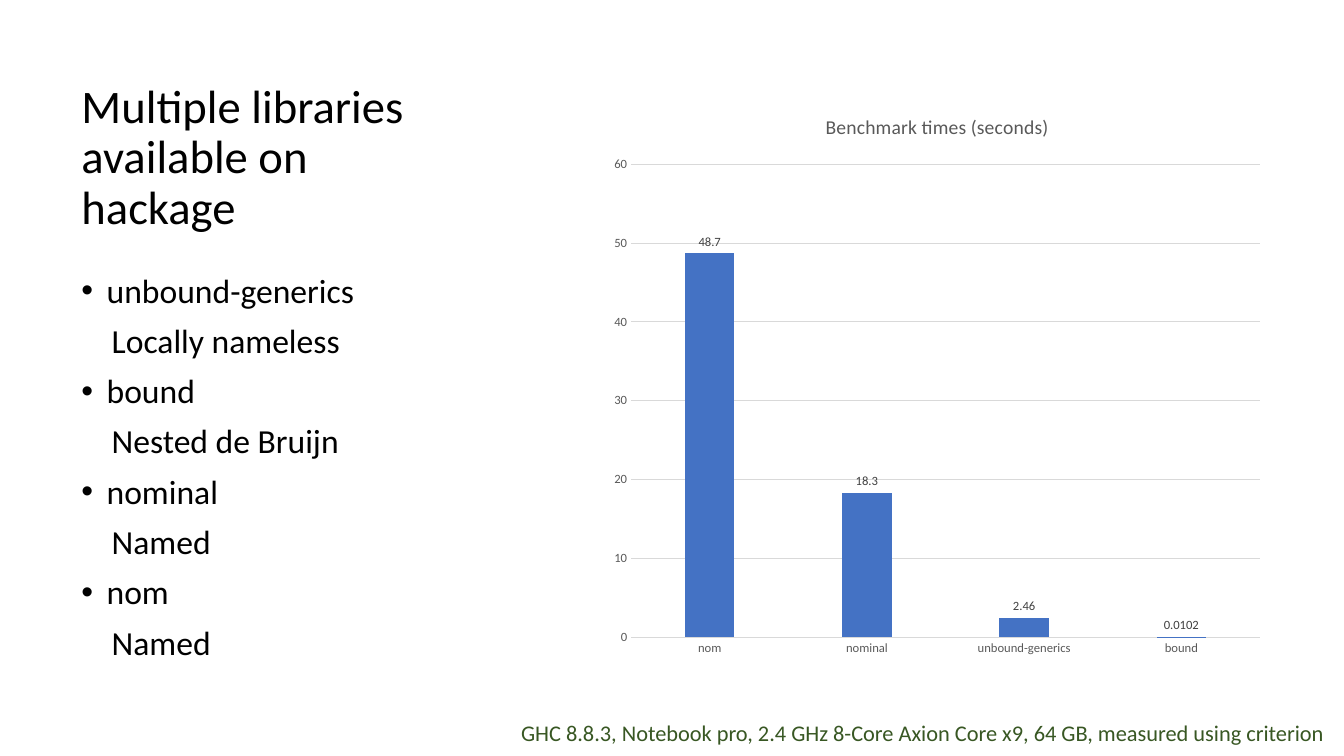
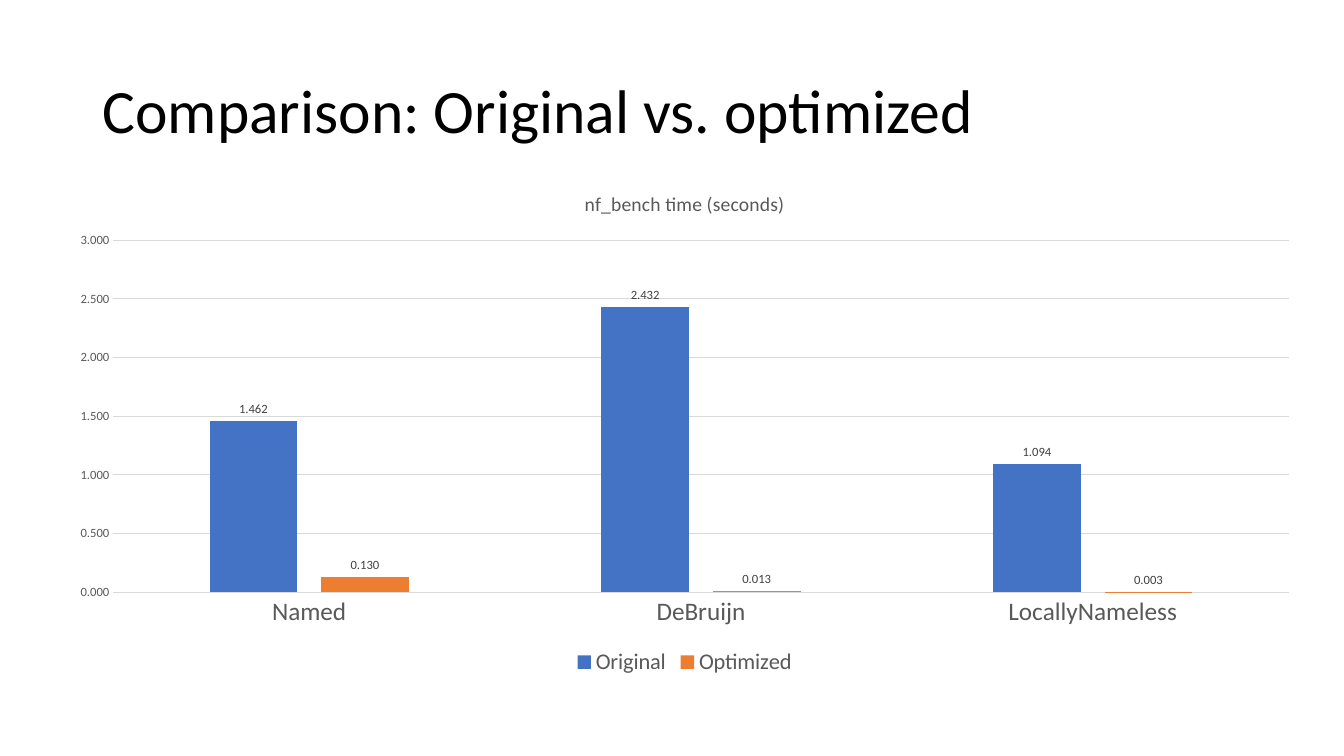
"""Build two slides of benchmark charts."""
from lxml import etree
from pptx import Presentation
from pptx.chart.data import CategoryChartData
from pptx.dml.color import RGBColor
from pptx.enum.chart import XL_CHART_TYPE, XL_LABEL_POSITION, XL_LEGEND_POSITION, XL_TICK_MARK
from pptx.enum.text import MSO_ANCHOR
from pptx.oxml.ns import qn
from pptx.util import Inches, Pt

COLUMNS = XL_CHART_TYPE.COLUMN_CLUSTERED
OUTSIDE = XL_LABEL_POSITION.OUTSIDE_END
BOTTOM = XL_LEGEND_POSITION.BOTTOM
NO_TICK = XL_TICK_MARK.NONE
TOP, MIDDLE = MSO_ANCHOR.TOP, MSO_ANCHOR.MIDDLE

FONT = "Calibri"
BLACK, GREY, DARK_GREY, GRID, GREEN = "000000", "595959", "404040", "D9D9D9", "385723"
SERIES_COLORS = ["4472C4", "ED7D31"]


def rgb(value):
    """Turn a hex string into a colour."""
    return RGBColor.from_string(value)


class Deck:
    """Hold the shared style and the current slide."""

    def __init__(self):
        """Start an empty widescreen presentation."""
        self.prs = Presentation()
        self.prs.slide_width, self.prs.slide_height = Inches(13.33), Inches(7.5)
        self.s = None

    def slide(self):
        """Add a blank slide and make it current."""
        self.s = self.prs.slides.add_slide(self.prs.slide_layouts[6])

    def style(self, font, size, color):
        """Set the face, size and colour of a font."""
        font.name, font.size, font.color.rgb = FONT, Pt(size), rgb(color)

    def box(self, at, anchor=TOP):
        """Add a wrapping text box and return its frame."""
        tf = self.s.shapes.add_textbox(*map(Inches, at)).text_frame
        tf.word_wrap, tf.vertical_anchor = True, anchor
        return tf

    def run(self, p, text, size, color=BLACK):
        """Add a styled run to a paragraph."""
        r = p.add_run()
        r.text = text
        self.style(r.font, size, color)

    def title(self, text, at, size):
        """Add a slide title."""
        p = self.box(at, MIDDLE).paragraphs[0]
        p.line_spacing = 0.9
        self.run(p, text, size)

    def note(self, text, at):
        """Add a green remark."""
        self.run(self.box(at).paragraphs[0], text, 16, GREEN)

    def paragraph(self, p, text, left, hanging=0, bullet=None):
        """Fill a list paragraph with its indent and optional bullet."""
        p.line_spacing, p.space_before = 0.9, Pt(10)
        pPr = p._p.get_or_add_pPr()
        pPr.set("marL", str(Inches(left)))
        pPr.set("indent", str(Inches(-hanging)))
        if bullet:
            etree.SubElement(pPr, qn("a:buFont")).set("typeface", "Arial")
            etree.SubElement(pPr, qn("a:buChar")).set("char", bullet)
        self.run(p, text, 24)

    def definitions(self, items, at):
        """Add bulleted names, each with an indented description."""
        tf = self.box(at)
        p = tf.paragraphs[0]
        for i, (name, detail) in enumerate(items):
            if i:
                p = tf.add_paragraph()
            self.paragraph(p, name, 0.25, 0.25, "•")
            self.paragraph(tf.add_paragraph(), detail, 0.3)

    def axis(self, axis, size):
        """Style the tick labels and tick marks of an axis."""
        self.style(axis.tick_labels.font, size, GREY)
        axis.major_tick_mark = axis.minor_tick_mark = NO_TICK

    def line(self, fmt):
        """Give a chart line the thin grid style."""
        fmt.line.color.rgb, fmt.line.width = rgb(GRID), Pt(0.75)

    def chart(self, title, cats, series, at, top, step, cat_size=9, fmt="General", legend=False):
        """Add a labelled column chart."""
        data = CategoryChartData(number_format=fmt)
        data.categories = cats
        for name, values in series:
            data.add_series(name, values)
        chart = self.s.shapes.add_chart(COLUMNS, *map(Inches, at), data).chart
        self.style(chart.font, 10, BLACK)
        chart.has_title = True
        self.run(chart.chart_title.text_frame.paragraphs[0], title, 14, GREY)
        chart.chart_title.text_frame.paragraphs[0].runs[0].font.bold = False
        chart.chart_title.include_in_layout = False

        self.axis(chart.category_axis, cat_size)
        self.line(chart.category_axis.format)
        val = chart.value_axis
        self.axis(val, 9)
        val.minimum_scale, val.maximum_scale, val.major_unit = 0, top, step
        val.tick_labels.number_format, val.tick_labels.number_format_is_linked = fmt, False
        val.format.line.fill.background()
        self.line(val.major_gridlines.format)

        plot = chart.plots[0]
        plot.gap_width, plot.overlap, plot.vary_by_categories = 219, -27, False
        for ser, color in zip(plot.series, SERIES_COLORS):
            ser.format.fill.solid()
            ser.format.fill.fore_color.rgb = rgb(color)
            ser.invert_if_negative = False
            labels = ser.data_labels
            labels.show_value, labels.position = True, OUTSIDE
            labels.number_format, labels.number_format_is_linked = fmt, False
            self.style(labels.font, 9, DARK_GREY)

        chart.has_legend = legend
        if legend:
            chart.legend.position, chart.legend.include_in_layout = BOTTOM, False
            self.style(chart.legend.font, 16, GREY)


def main():
    """Build and save the slides."""
    deck = Deck()

    deck.slide()
    deck.title("Multiple libraries available on hackage", (0.71, 0.69, 3.83, 1.77), 33.3)
    deck.definitions([("unbound-generics", "Locally nameless"), ("bound", "Nested de Bruijn"),
                      ("nominal", "Named"), ("nom", "Named")], (0.71, 2.67, 3.83, 4.14))
    deck.chart("Benchmark times (seconds)", ["nom", "nominal", "unbound-generics", "bound"],
               [("Series 1", [48.7, 18.3, 2.46, 0.0102])], (5.96, 0.92, 6.67, 5.7), 60, 10)
    deck.note("GHC 8.8.3, Notebook pro, 2.4 GHz 8-Core Axion Core x9, 64 GB, "
              "measured using criterion", (5.07, 7.09, 8.26, 0.37))

    deck.slide()
    deck.title("Comparison: Original vs. optimized", (0.92, 0.4, 11.5, 1.45), 44)
    deck.chart("nf_bench time (seconds)", ["Named", "DeBruijn", "LocallyNameless"],
               [("Original", [1.462, 2.432, 1.094]), ("Optimized", [0.13, 0.013, 0.003])],
               (0.55, 1.7, 12.48, 5.05), 3, 0.5, cat_size=18, fmt="0.000", legend=True)

    deck.prs.save("out.pptx")


main()
